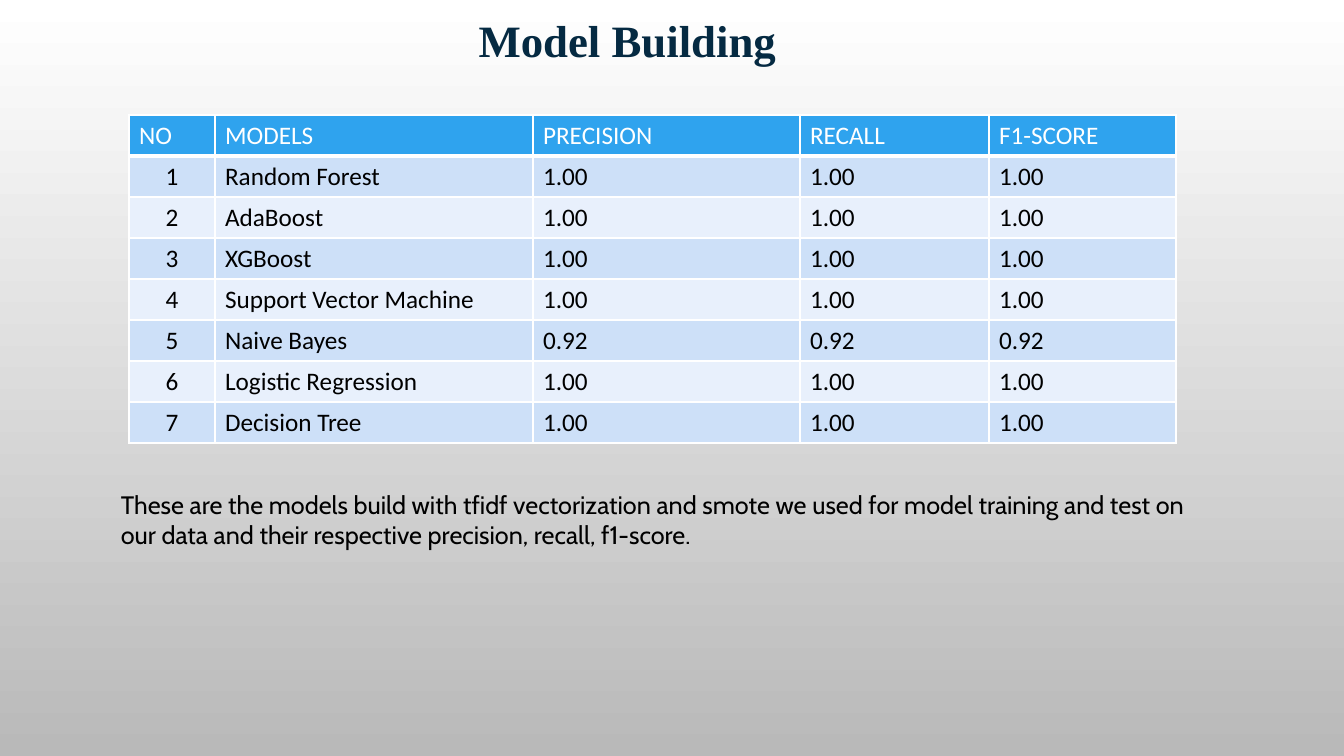
from typing import NamedTuple

from lxml.etree import SubElement
from pptx import Presentation
from pptx.dml.color import RGBColor
from pptx.enum.text import MSO_AUTO_SIZE, PP_ALIGN as Align
from pptx.oxml.ns import qn
from pptx.util import Pt

EMU_PER_PX = 914400 / 100.8
WHITE, BLACK, NAVY = "FFFFFF", "000000", "052A42"
HEADER_FILL, BAND_FILLS = "2FA3EE", ("CDE0F8", "E8F0FC")
BACKGROUND = (WHITE, "B9B9B9")


class Model(NamedTuple):
    name: str
    precision: str
    recall: str
    f1_score: str


class Caption(NamedTuple):
    text: str
    box: tuple[int, int, int, int]
    align: Align
    color: str
    font: dict


HEADINGS = ("NO", "MODELS", "PRECISION", "RECALL", "F1-SCORE")
MODELS = [
    Model("Random Forest", "1.00", "1.00", "1.00"),
    Model("AdaBoost", "1.00", "1.00", "1.00"),
    Model("XGBoost", "1.00", "1.00", "1.00"),
    Model("Support Vector Machine", "1.00", "1.00", "1.00"),
    Model("Naive Bayes", "0.92", "0.92", "0.92"),
    Model("Logistic Regression", "1.00", "1.00", "1.00"),
    Model("Decision Tree", "1.00", "1.00", "1.00"),
]
TABLE_LEFT, TABLE_TOP, ROW_HEIGHT = 129, 115, 41
COLUMN_WIDTHS = (86, 318, 267, 189, 187)
CELL_FONT = {"name": "Calibri", "size": Pt(18), "bold": False}

CAPTIONS = [
    Caption("Model Building", (292, 8, 671, 65), Align.CENTER, NAVY,
            {"name": "Times New Roman", "size": Pt(32), "bold": True}),
    Caption("These are the models build with tfidf vectorization and smote we used "
            "for model training and test on our data and their respective precision, "
            "recall, f1-score.", (111, 484, 1123, 72), Align.LEFT, BLACK,
            {"name": "Cabin", "size": Pt(18)}),
]


def px(length: int) -> int:
    return round(length * EMU_PER_PX)


def rgb(color: str) -> RGBColor:
    return RGBColor.from_string(color)


def write(frame, text: str, align: Align, color: str, font: dict) -> None:
    paragraph = frame.paragraphs[0]
    paragraph.alignment = align
    run = paragraph.add_run()
    run.text = text
    for attribute, value in font.items():
        setattr(run.font, attribute, value)
    run.font.color.rgb = rgb(color)


def add_caption(slide, caption: Caption) -> None:
    frame = slide.shapes.add_textbox(*map(px, caption.box)).text_frame
    frame.word_wrap = True
    frame.auto_size = MSO_AUTO_SIZE.SHAPE_TO_FIT_TEXT
    write(frame, caption.text, caption.align, caption.color, caption.font)


def add_borders(cell, bottom_width: int) -> None:
    """Put white lines round a cell; only the bottom width (points) varies."""
    properties = cell._tc.get_or_add_tcPr()
    widths = {"a:lnL": 1, "a:lnR": 1, "a:lnT": 1, "a:lnB": bottom_width}
    for position, (side, width) in enumerate(widths.items()):
        line = SubElement(properties, qn(side), w=str(Pt(width)))
        properties.insert(position, line)
        SubElement(SubElement(line, qn("a:solidFill")), qn("a:srgbClr"), val=WHITE)


def add_score_table(slide) -> None:
    rows = [HEADINGS] + [(str(number), *model) for number, model in enumerate(MODELS, 1)]
    scores = slide.shapes.add_table(
        len(rows), len(HEADINGS), px(TABLE_LEFT), px(TABLE_TOP),
        px(sum(COLUMN_WIDTHS)), px(ROW_HEIGHT * len(rows))).table
    for column, width in zip(scores.columns, COLUMN_WIDTHS):
        column.width = px(width)
    for r, row in enumerate(rows):
        scores.rows[r].height = px(ROW_HEIGHT)
        is_header = r == 0
        fill = HEADER_FILL if is_header else BAND_FILLS[(r - 1) % 2]
        for c, text in enumerate(row):
            cell = scores.cell(r, c)
            cell.fill.solid()
            cell.fill.fore_color.rgb = rgb(fill)
            add_borders(cell, 3 if is_header else 1)
            align = Align.CENTER if c == 0 and not is_header else Align.LEFT
            write(cell.text_frame, text, align, WHITE if is_header else BLACK, CELL_FONT)


def paint_background(slide) -> None:
    fill = slide.background.fill
    fill.gradient()
    fill.gradient_angle = 270
    for stop, color in zip(fill.gradient_stops, BACKGROUND):
        stop.color.rgb = rgb(color)


def main() -> None:
    deck = Presentation()
    deck.slide_width, deck.slide_height = px(1344), px(756)
    slide = deck.slides.add_slide(deck.slide_layouts[6])
    title, note = CAPTIONS
    paint_background(slide)
    add_caption(slide, title)
    add_score_table(slide)
    add_caption(slide, note)
    deck.save("out.pptx")


if __name__ == "__main__":
    main()
